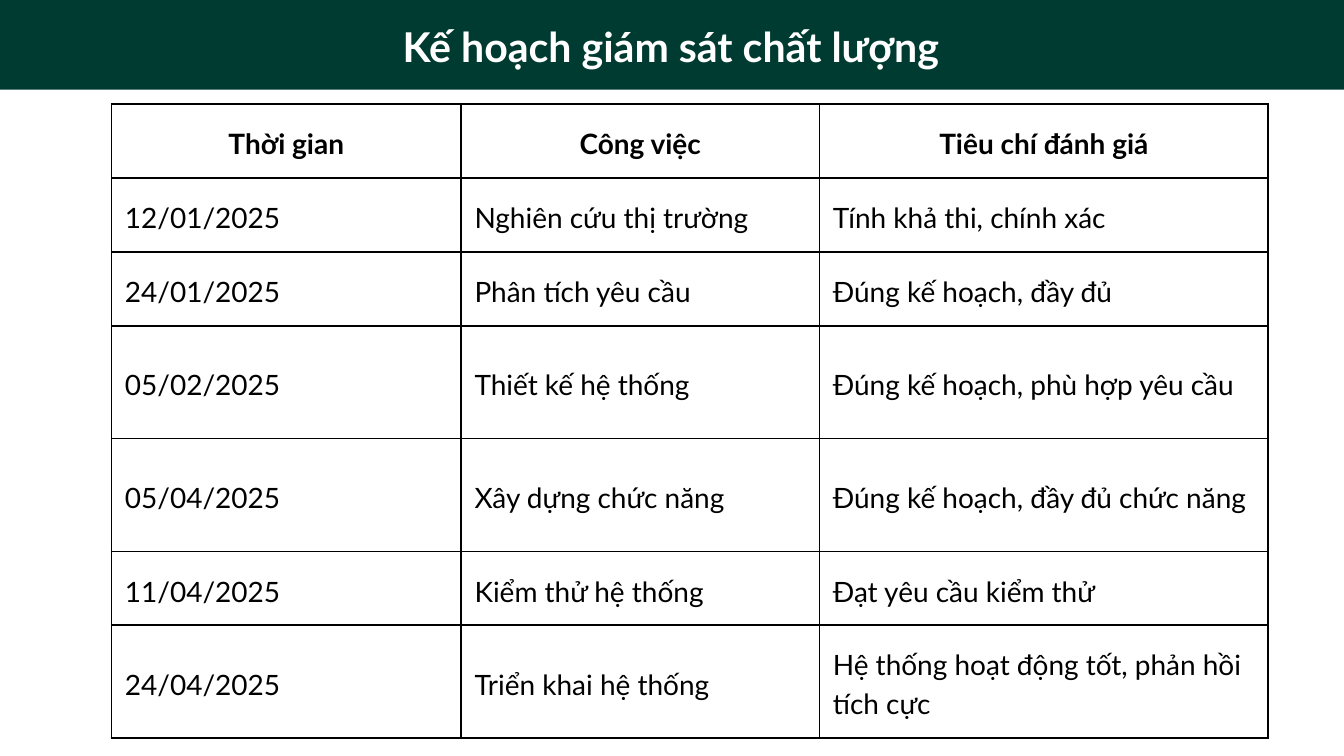
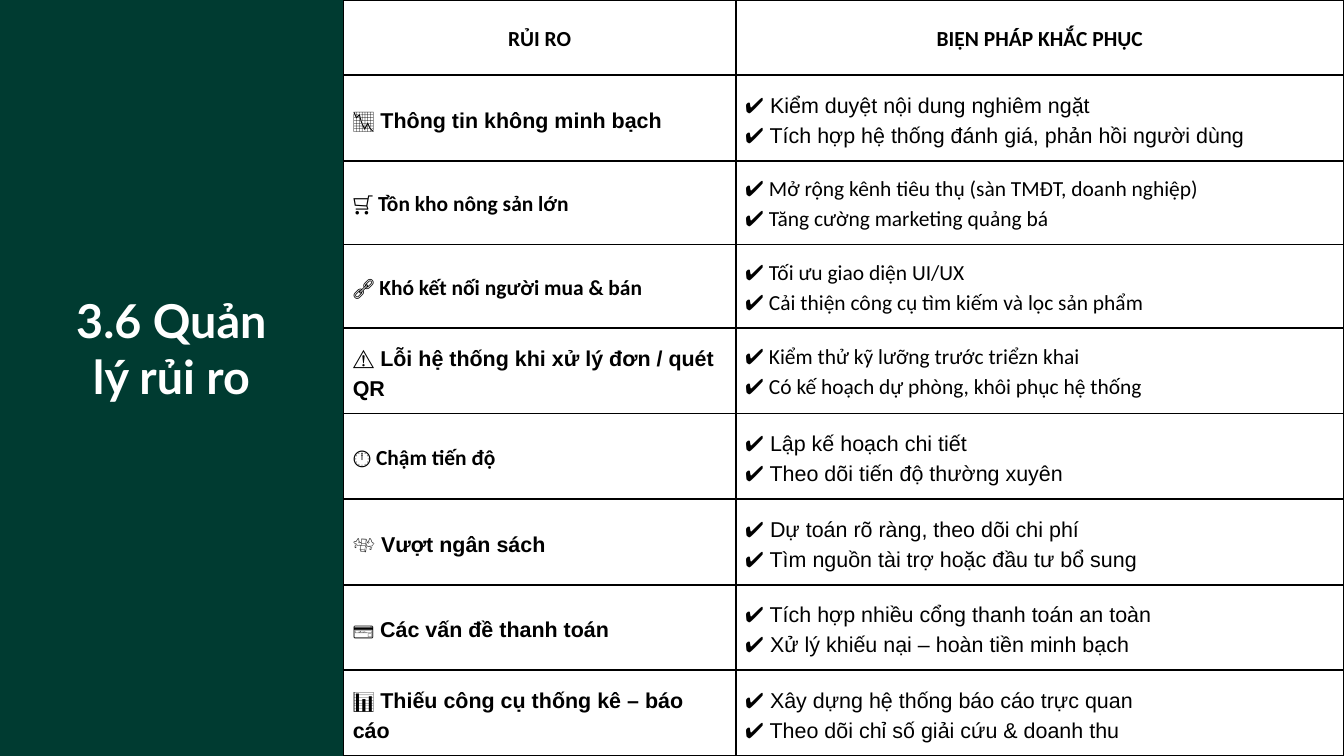
from lxml import etree
from pptx import Presentation
from pptx.dml.color import RGBColor
from pptx.enum.shapes import MSO_SHAPE
from pptx.enum.text import MSO_ANCHOR, MSO_AUTO_SIZE, PP_ALIGN
from pptx.oxml.ns import qn
from pptx.util import Pt

RECT = MSO_SHAPE.RECTANGLE
TOP, MIDDLE = MSO_ANCHOR.TOP, MSO_ANCHOR.MIDDLE
LEFT, CENTER = PP_ALIGN.LEFT, PP_ALIGN.CENTER
NO_FIT = MSO_AUTO_SIZE.NONE

SLIDE_W, SLIDE_H = 1440, 810
GREEN, WHITE, BLACK = "003B31", "FFFFFF", "000000"
LATO, CALIBRI, ARIAL = "Lato", "Calibri", "Arial"

# Content: quality monitoring plan
PLAN_TITLE = "Kế hoạch giám sát chất lượng"
PLAN_HEADER = ("Thời gian", "Công việc", "Tiêu chí đánh giá")
PLAN = [
    ("12/01/2025", "Nghiên cứu thị trường", "Tính khả thi, chính xác"),
    ("24/01/2025", "Phân tích yêu cầu", "Đúng kế hoạch, đầy đủ"),
    ("05/02/2025", "Thiết kế hệ thống", "Đúng kế hoạch, phù hợp yêu cầu"),
    ("05/04/2025", "Xây dựng chức năng", "Đúng kế hoạch, đầy đủ chức năng"),
    ("11/04/2025", "Kiểm thử hệ thống", "Đạt yêu cầu kiểm thử"),
    ("24/04/2025", "Triển khai hệ thống",
     "Hệ thống hoạt động tốt, phản hồi tích cực"),
]

# Content: risks as icon, risk, risk font, measures, measures font
RISK_TITLE = "3.6 Quản lý rủi ro"
RISK_HEADER = ("RỦI RO", "BIỆN PHÁP KHẮC PHỤC")
CHECK = "✔️ "
REGULAR_ICONS = ("⚠️", "💸", "💳", "📊")
RISKS = [
    ("📉", "Thông tin không minh bạch", ARIAL,
     ("Kiểm duyệt nội dung nghiêm ngặt",
      "Tích hợp hệ thống đánh giá, phản hồi người dùng"), ARIAL),
    ("🛒", "Tồn kho nông sản lớn", CALIBRI,
     ("Mở rộng kênh tiêu thụ (sàn TMĐT, doanh nghiệp)",
      "Tăng cường marketing quảng bá"), CALIBRI),
    ("🔗", "Khó kết nối người mua & bán", CALIBRI,
     ("Tối ưu giao diện UI/UX",
      "Cải thiện công cụ tìm kiếm và lọc sản phẩm"), CALIBRI),
    ("⚠️", "Lỗi hệ thống khi xử lý đơn / quét QR", ARIAL,
     ("Kiểm thử kỹ lưỡng trước triểzn khai",
      "Có kế hoạch dự phòng, khôi phục hệ thống"), CALIBRI),
    ("🕛", "Chậm tiến độ", CALIBRI,
     ("Lập kế hoạch chi tiết",
      "Theo dõi tiến độ thường xuyên"), ARIAL),
    ("💸", "Vượt ngân sách", ARIAL,
     ("Dự toán rõ ràng, theo dõi chi phí",
      "Tìm nguồn tài trợ hoặc đầu tư bổ sung"), ARIAL),
    ("💳", "Các vấn đề thanh toán", ARIAL,
     ("Tích hợp nhiều cổng thanh toán an toàn",
      "Xử lý khiếu nại – hoàn tiền minh bạch"), ARIAL),
    ("📊", "Thiếu công cụ thống kê – báo cáo", ARIAL,
     ("Xây dựng hệ thống báo cáo trực quan",
      "Theo dõi chỉ số giải cứu & doanh thu"), ARIAL),
]


def rgb(color):
    return RGBColor.from_string(color)


def write(p, runs, font, size, leading, color=BLACK, align=LEFT):
    """Fill a paragraph with (text, bold) runs."""
    p.alignment, p.line_spacing = align, Pt(leading)
    p.space_before = p.space_after = Pt(0)
    p.font.name, p.font.size = font, Pt(size)
    p.font.color.rgb = rgb(color)
    for text, bold in runs:
        r = p.add_run()
        r.text, r.font.bold = text, bold


def add_titled_slide(prs, title, box, size, leading, band_size):
    """Add a slide with a white title over a green band at the top left."""
    s = prs.slides.add_slide(prs.slide_layouts[5])
    sp = s.shapes.title
    sp.left, sp.top, sp.width, sp.height = map(Pt, box)
    tf = sp.text_frame
    tf.word_wrap, tf.auto_size, tf.vertical_anchor = True, NO_FIT, TOP
    tf.margin_left = tf.margin_right = tf.margin_top = tf.margin_bottom = 0
    write(tf.paragraphs[0], [(title, True)], LATO, size, leading, WHITE, CENTER)

    band = s.shapes.add_shape(RECT, 0, 0, *map(Pt, band_size))
    band.shadow.inherit = False
    band.fill.solid()
    band.fill.fore_color.rgb = rgb(GREEN)
    band.line.fill.background()
    sp.element.addprevious(band.element)  # band behind the title
    return s


def set_borders(cell, width):
    tc_pr = cell._tc.get_or_add_tcPr()
    for side in ("lnL", "lnR", "lnT", "lnB"):
        ln = etree.SubElement(tc_pr, qn(f"a:{side}"), w=str(int(Pt(width))))
        fill = etree.SubElement(ln, qn("a:solidFill"))
        etree.SubElement(fill, qn("a:srgbClr"), val=BLACK)


def add_grid(s, left, top, widths, heights, rows, size, leading, margin, border):
    """Add a ruled table; each cell is (font, alignment, paragraphs of runs)."""
    table = s.shapes.add_table(len(heights), len(widths), Pt(left), Pt(top),
                               Pt(sum(widths)), Pt(sum(heights))).table
    table.first_row = table.horz_banding = False
    for column, width in zip(table.columns, widths):
        column.width = Pt(width)
    for row, height, cells in zip(table.rows, heights, rows):
        row.height = Pt(height)
        for cell, (font, align, paragraphs) in zip(row.cells, cells):
            cell.vertical_anchor = MIDDLE
            cell.margin_left = cell.margin_right = Pt(margin)
            cell.margin_top = cell.margin_bottom = Pt(margin)
            set_borders(cell, border)
            cell.fill.background()
            tf = cell.text_frame
            for i, runs in enumerate(paragraphs):
                p = tf.add_paragraph() if i else tf.paragraphs[0]
                write(p, runs, font, size, leading, align=align)


def header_row(labels, font):
    return [(font, CENTER, [[(label, True)]]) for label in labels]


def risk_row(icon, risk, risk_font, measures, measures_font):
    return [
        (risk_font, LEFT,
         [[(icon + " ", icon not in REGULAR_ICONS), (risk, True)]]),
        (measures_font, LEFT, [[(CHECK + m, False)] for m in measures]),
    ]


def build_plan(prs):
    s = add_titled_slide(prs, PLAN_TITLE, (15, 14.4, 1408, 60), 44, 61.6,
                         (SLIDE_W, 96))
    rows = [header_row(PLAN_HEADER, LATO)]
    rows += [[(LATO, LEFT, [[(text, False)]]) for text in row] for row in PLAN]
    low, tall = 79.1, 121
    add_grid(s, 119.5, 111.6, (374.5, 384, 481),
             (low, low, low, tall, tall, low, tall), rows,
             size=30, leading=42, margin=14.4, border=2.25)


def build_risks(prs):
    panel_w, risk_w = 368, 420.5
    s = add_titled_slide(prs, RISK_TITLE, (62, 312.5, 243.4, 120), 50, 60,
                         (panel_w, SLIDE_H))
    rows = [header_row(RISK_HEADER, CALIBRI)]
    rows += [risk_row(*risk) for risk in RISKS]
    header_h, low = 80.6, 89.5
    tall = (SLIDE_H - header_h - 2 * low) / 6
    add_grid(s, panel_w, 0, (risk_w, SLIDE_W - panel_w - risk_w),
             (header_h, tall, low, low) + (tall,) * 5, rows,
             size=23, leading=32.2, margin=10, border=2.08)


def main():
    prs = Presentation()
    prs.slide_width, prs.slide_height = Pt(SLIDE_W), Pt(SLIDE_H)
    build_plan(prs)
    build_risks(prs)
    prs.save("out.pptx")


if __name__ == "__main__":
    main()
